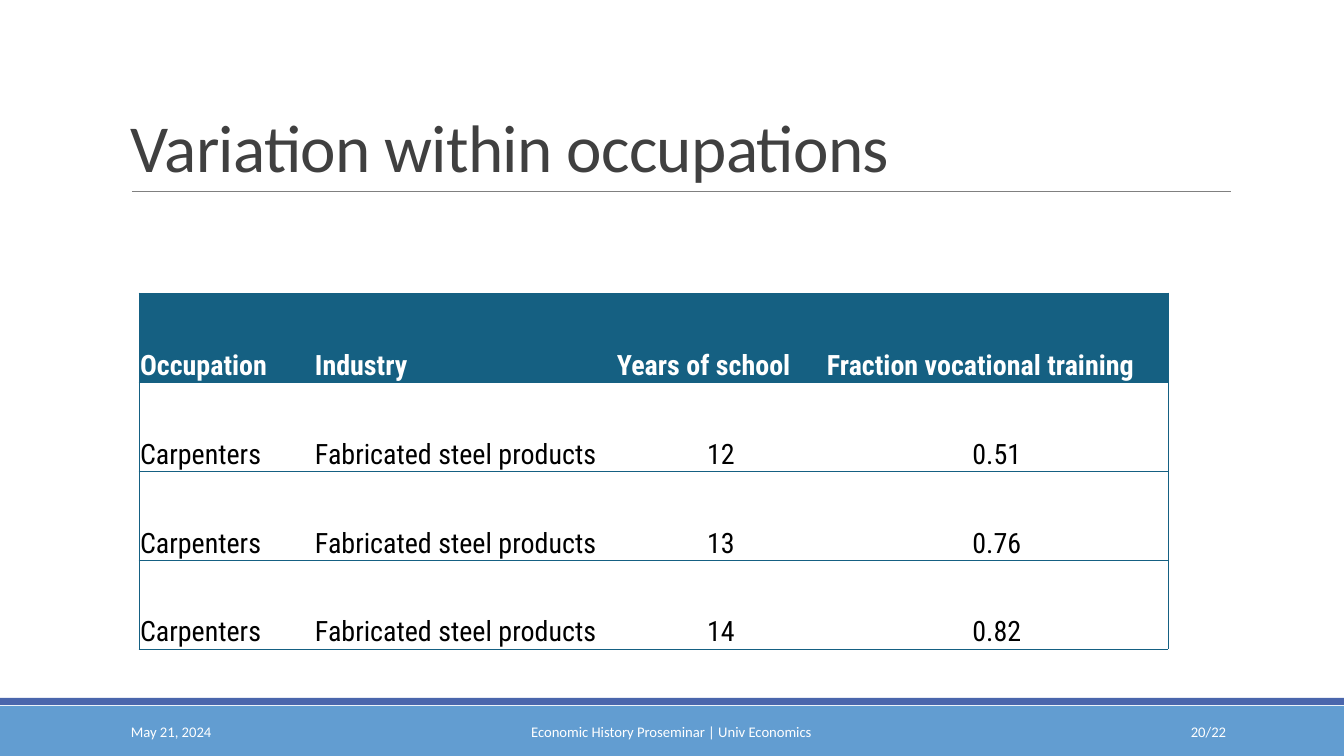
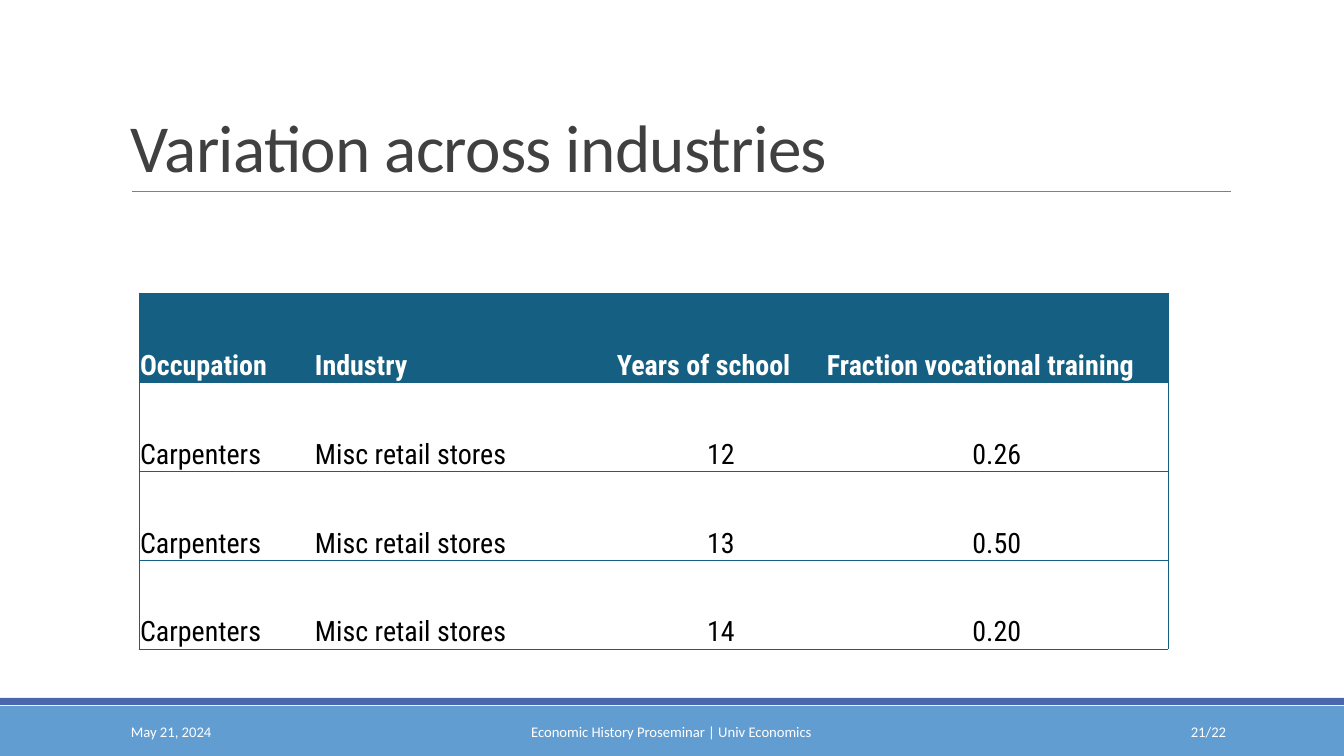
from dataclasses import dataclass

from lxml import etree
from pptx import Presentation
from pptx import util as u
from pptx.dml.color import RGBColor
from pptx.enum import shapes, text
from pptx.oxml import ns

SCALE = 914400 / 100.8
LEFT, MID, RIGHT = (text.PP_ALIGN.LEFT, text.PP_ALIGN.CENTER,
                    text.PP_ALIGN.RIGHT)


@dataclass(frozen=True)
class Theme:
    white: str = "FFFFFF"
    black: str = "000000"
    ink: str = "404040"
    rule: str = "808080"
    band: str = "629DD1"
    strip: str = "4A66AC"
    teal: str = "156082"
    sans: str = "Calibri"
    slim: str = "Roboto Condensed"
    title: float = 48
    cell: float = 20
    foot: float = 10.5
    line: float = 0.5


def px(*vals):
    return [u.Emu(round(val * SCALE)) for val in vals]


def tint(name):
    return RGBColor.from_string(name)


def put(obj, **vals):
    for key, val in vals.items():
        setattr(obj, key, val)


class Deck:
    def __init__(self, theme):
        self.theme = theme
        self.prs = Presentation()
        wide, high = px(1344, 756)
        put(self.prs, slide_width=wide, slide_height=high)
        self.slide = None

    def page(self):
        self.slide = self.prs.slides.add_slide(self.prs.slide_layouts[6])

    def rect(self, box, fill):
        shape = self.slide.shapes.add_shape(
            shapes.MSO_SHAPE.RECTANGLE, *px(*box))
        shape.shadow.inherit = False
        shape.fill.solid()
        shape.fill.fore_color.rgb = tint(fill)
        shape.line.fill.background()

    def line(self, start, end, color):
        line = self.slide.shapes.add_connector(
            shapes.MSO_CONNECTOR.STRAIGHT, *px(*start, *end))
        line.line.color.rgb = tint(color)
        line.line.width = u.Pt(self.theme.line)
        etree.SubElement(line.element.spPr, ns.qn("a:effectLst"))

    def label(self, frame, words, font, size, color, align=LEFT, bold=False):
        para = frame.paragraphs[0]
        para.alignment = align
        run = para.add_run()
        run.text = words
        put(run.font, name=font, size=u.Pt(size), bold=bold)
        run.font.color.rgb = tint(color)
        return para, run

    def text(self, box, words, size, color, anchor, align=LEFT):
        frame = self.slide.shapes.add_textbox(*px(*box)).text_frame
        put(frame, word_wrap=True, vertical_anchor=anchor)
        return self.label(frame, words, self.theme.sans, size, color, align)

    def title(self, words):
        para, run = self.text((121, 31, 1109, 160), words, self.theme.title,
                              self.theme.ink, text.MSO_ANCHOR.BOTTOM)
        para.line_spacing = 0.85
        run.font._element.set("spc", "-50")

    def frame(self, number):
        """Draw the bands, title rule and footer that every slide has."""
        look = self.theme
        self.rect((0, 706, 1344, 50), look.band)
        self.rect((0, 698, 1344, 7), look.strip)
        self.line((132, 191), (1231, 191), look.rule)
        for left, wide, words, align in (
                (121, 272, "May 21, 2024", LEFT),
                (406, 531, "Economic History Proseminar | Univ Economics", MID),
                (1092, 144, f"{number}/22", RIGHT)):
            self.text((left, 712, wide, 40), words, look.foot, look.white,
                      text.MSO_ANCHOR.MIDDLE, align)

    def edge(self, cell, side, drawn):
        line = etree.SubElement(cell._tc.get_or_add_tcPr(),
                                ns.qn(f"a:ln{side}"),
                                w=str(u.Pt(self.theme.line)))
        if drawn:
            fill = etree.SubElement(line, ns.qn("a:solidFill"))
            etree.SubElement(fill, ns.qn("a:srgbClr"), val=self.theme.teal)
        else:
            etree.SubElement(line, ns.qn("a:noFill"))

    def cell(self, cell, words, head, first, last, align):
        look = self.theme
        for side, drawn in zip("LRTB", (first, last, True, True)):
            self.edge(cell, side, drawn)
        if head:
            cell.fill.solid()
            cell.fill.fore_color.rgb = tint(look.teal)
        else:
            cell.fill.background()
        one, = px(1)
        put(cell, margin_left=one, margin_right=one, margin_top=one,
            margin_bottom=0, vertical_anchor=text.MSO_ANCHOR.BOTTOM)
        self.label(cell.text_frame, words, look.slim, look.cell,
                   look.white if head else look.black, align, head)

    def table(self, rows, cols, high):
        box = px(139, 293, sum(cols), high * len(rows))
        grid = self.slide.shapes.add_table(len(rows), len(cols), *box).table
        put(grid, first_row=False, horz_banding=False)
        for col, wide in zip(grid.columns, px(*cols)):
            col.width = wide
        for r, row in enumerate(rows):
            grid.rows[r].height, = px(high)
            for c, words in enumerate(row):
                align = MID if r and c > 1 else LEFT
                self.cell(grid.cell(r, c), words, r == 0, c == 0,
                          c == len(cols) - 1, align)


HEAD = ("Occupation", "Industry", "Years of school",
        "Fraction vocational training")
PAGES = (
    ("Variation within occupations", "Fabricated steel products",
     ("0.51", "0.76", "0.82")),
    ("Variation across industries", "Misc retail stores",
     ("0.26", "0.50", "0.20")),
)


def main():
    deck = Deck(Theme())
    for number, (title, field, shares) in enumerate(PAGES, 20):
        deck.page()
        deck.frame(number)
        deck.title(title)
        body = [("Carpenters", field, str(years), share)
                for years, share in enumerate(shares, 12)]
        deck.table([HEAD, *body], (175, 302, 210, 342), 89)
    deck.prs.save("out.pptx")


if __name__ == "__main__":
    main()
